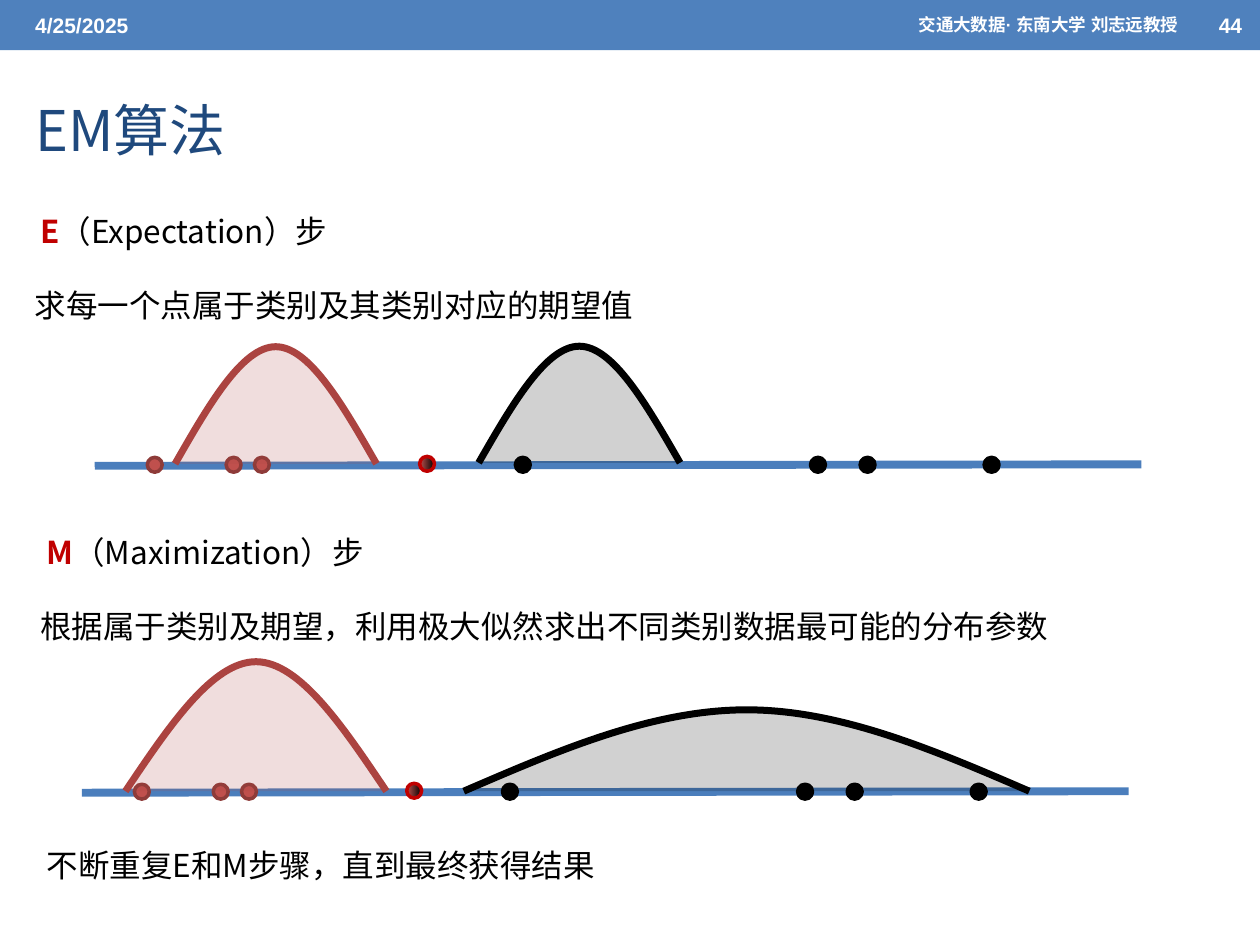
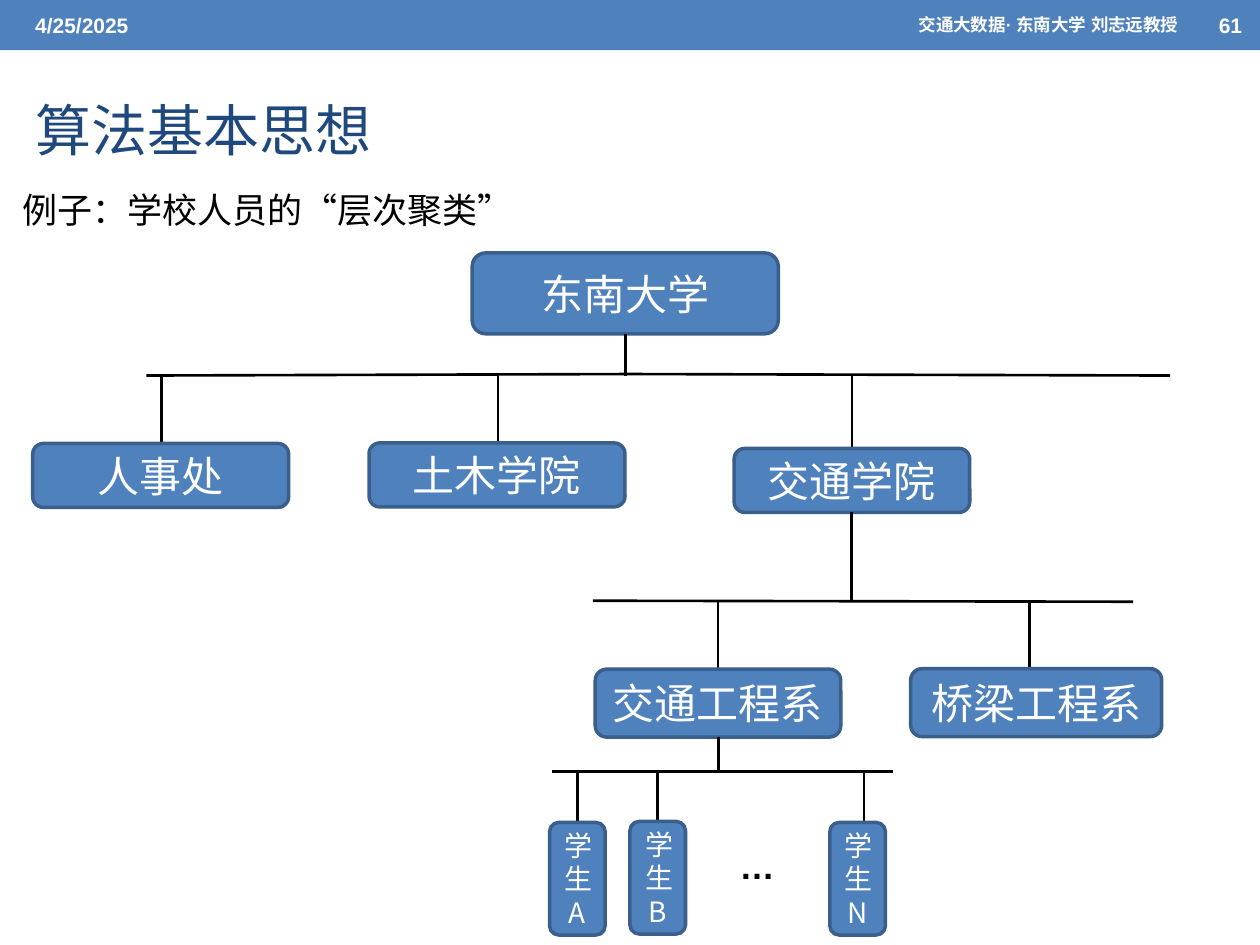
from dataclasses import dataclass
from itertools import pairwise

from lxml.etree import SubElement
from pptx import Presentation
from pptx.dml.color import RGBColor as Rgb
from pptx.enum.shapes import MSO_CONNECTOR as Link, MSO_SHAPE as Kind
from pptx.enum.text import MSO_ANCHOR as Anchor, PP_ALIGN as Align
from pptx.oxml.ns import qn
from pptx.util import Cm, Pt


@dataclass(frozen=True)
class Theme:
    cjk: str = "Noto Sans CJK SC"
    latin: str = "Arial"
    blue: str = "4F81BD"
    edge: str = "3A5F8C"
    axis: str = "4B7EBC"
    navy: str = "1F497D"
    red: str = "C00000"
    brick: str = "C0504D"
    rust: str = "8E3B39"
    curve: str = "AB4340"
    blush: str = "AC4744"
    black: str = "000000"
    white: str = "FFFFFF"
    title: int = 32
    node: int = 24
    lead: int = 20
    body: int = 18
    leaf: int = 16
    date: int = 12
    credit: int = 10


T = Theme()


def rgb(code):
    return Rgb.from_string(code)


def write(frame, text, size=T.body, font=T.cjk, color=T.black, bold=False,
          align=Align.LEFT, anchor=Anchor.TOP, space=None, wrap=True):
    """Fill a frame; text is a string or a list of (string, color, bold) runs."""
    frame.word_wrap = wrap
    frame.vertical_anchor = anchor
    para = frame.paragraphs[0]
    para.alignment = align
    if space:
        para.line_spacing = space
    runs = [(text, color, bold)] if isinstance(text, str) else text
    for words, tint, heavy in runs:
        run = para.add_run()
        run.text = words
        run.font.size = Pt(size)
        run.font.name = font
        run.font.bold = heavy
        run.font.color.rgb = rgb(tint)
        SubElement(run.font._element, qn("a:ea"), typeface=font)


def label(slide, box, text, **style):
    frame = slide.shapes.add_textbox(*map(Cm, box)).text_frame
    write(frame, text, **style)


def paint(shape, fill, line=None, width=2):
    shape.shadow.inherit = False
    shape.fill.solid()
    shape.fill.fore_color.rgb = rgb(fill)
    if line:
        shape.line.color.rgb = rgb(line)
        shape.line.width = Pt(width)
    else:
        shape.line.fill.background()


def rule(slide, x1, y1, x2, y2, color=T.black, width=1.5):
    line = slide.shapes.add_connector(Link.STRAIGHT, *map(Cm, (x1, y1, x2, y2)))
    line.line.color.rgb = rgb(color)
    line.line.width = Pt(width)
    SubElement(line._element.spPr, qn("a:effectLst"))


def page(deck, title, number):
    """Add a slide with the header band and its title."""
    slide = deck.slides.add_slide(deck.slide_layouts[6])
    band = slide.shapes.add_shape(Kind.RECTANGLE, 0, 0, deck.slide_width, Cm(1.01))
    paint(band, T.blue)
    head = dict(font=T.latin, color=T.white, bold=True, anchor=Anchor.MIDDLE)
    label(slide, (0.46, 0.05, 8.05, 0.91), "4/25/2025", size=T.date, **head)
    label(slide, (24.32, 0.05, 1.07, 0.91), str(number), size=T.date, **head)
    label(slide, (10.59, 0.05, 13.41, 0.91), "交通大数据· 东南大学 刘志远教授",
          size=T.credit, align=Align.RIGHT, **head)
    label(slide, (0.46, 1.24, 22.86, 2.74), title, size=T.title,
          color=T.navy, anchor=Anchor.MIDDLE)
    return slide


def dot(slide, x, y, fill, line):
    shape = slide.shapes.add_shape(Kind.OVAL, *map(Cm, (x, y, 0.3, 0.3)))
    paint(shape, fill, line)
    return shape


def blend(shape):
    """Fade a dot from red on the left to black on the right."""
    shape.rotation = 270
    shape.fill.gradient()
    shape.fill.gradient_angle = 270
    for stop, color in zip(shape.fill.gradient_stops, (T.brick, T.black)):
        stop.color.rgb = rgb(color)


def bend(shape):
    """Turn every three straight segments of an outline into one cubic curve."""
    path = next(shape._element.iter(qn("a:path")))
    lines = path.findall(qn("a:lnTo"))
    for i in range(0, len(lines), 3):
        cubic = SubElement(path, qn("a:cubicBezTo"))
        for line in lines[i:i + 3]:
            cubic.append(line[0])
            path.remove(line)


def bell(slide, x, base, width, height, fill, line):
    """Draw an open hump as two mirrored curves."""
    rises = (0, 0.5, 1, 1, 1, 0.5, 0)
    points = [(Cm(x + width * i / 6), Cm(base - height * rise))
              for i, rise in enumerate(rises)]
    outline = slide.shapes.build_freeform(*points[0])
    outline.add_line_segments(points[1:], close=False)
    shape = outline.convert_to_shape()
    bend(shape)
    paint(shape, fill, line, 4)
    tint = shape._element.spPr.find(qn("a:solidFill"))[0]
    SubElement(tint, qn("a:alpha"), val="18000")


def sample(slide, x, y):
    """Draw the data axis with its points, starting at x, y."""
    rule(slide, x, y, x + 21.1, y - 0.03, T.axis, 4.5)
    top = y - 0.17
    for step in (1.06, 3.22, 2.65):
        dot(slide, x + step, top, T.brick, T.rust)
    blend(dot(slide, x + 6.55, top - 0.02, T.brick, T.red))
    for step in (8.48, 14.43, 15.43, 17.93):
        dot(slide, x + step, top, T.black, T.black)


def node(slide, text, box, size=T.node):
    shape = slide.shapes.add_shape(Kind.ROUNDED_RECTANGLE, *map(Cm, box))
    paint(shape, T.blue, T.edge)
    write(shape.text_frame, text, size=size, color=T.white,
          align=Align.CENTER, anchor=Anchor.MIDDLE)


def level(slide, stem, rail, kids, size=T.node):
    """Hang nodes under a rail of points; stem is the parent's (x, bottom).

    Each kid is (text, box, shift of its drop line from the box centre).
    """
    y = rail[0][1]
    rule(slide, *stem, stem[0], y)
    for start, end in pairwise(rail):
        rule(slide, *start, *end)
    for text, box, shift in kids:
        x, top, width, _ = box
        mid = x + width / 2 + shift
        rule(slide, mid, top, mid, y)
        node(slide, text, box, size)


def em_page(deck):
    slide = page(deck, "EM算法", 44)
    style = dict(align=Align.JUSTIFY, space=1.5)
    lines = (
        (0.56, 3.76, 21.62, [("E", T.red, True), ("（Expectation）步", T.black, False)]),
        (0.45, 5.27, 24.1, "求每一个点属于类别及其类别对应的期望值"),
        (0.69, 10.23, 21.62, [("M", T.red, True), ("（Maximization）步", T.black, False)]),
        (0.56, 11.73, 24.1, "根据属于类别及期望，利用极大似然求出不同类别数据最可能的分布参数"),
        (0.69, 16.55, 21.62, "不断重复E和M步骤，直到最终获得结果"),
    )
    for x, y, width, text in lines:
        label(slide, (x, y, width, 1.27), text, **style)
    sample(slide, 1.91, 9.39)
    sample(slide, 1.65, 15.98)
    bell(slide, 3.53, 9.35, 4.06, 2.36, T.blush, T.curve)
    bell(slide, 9.65, 9.33, 4.06, 2.35, T.black, T.black)
    bell(slide, 2.53, 15.95, 5.26, 2.61, T.blush, T.curve)
    bell(slide, 9.35, 15.95, 11.4, 1.64, T.black, T.black)


def tree_page(deck):
    slide = page(deck, "算法基本思想", 61)
    label(slide, (0.2, 3.68, 10.5, 1.12), "例子：学校人员的“层次聚类”",
          size=T.lead, wrap=False)
    node(slide, "东南大学", (9.52, 5.1, 6.17, 1.63))
    level(slide, (12.61, 6.73), ((2.95, 7.57), (12.7, 7.54), (23.59, 7.57)), (
        ("人事处", (0.66, 8.94, 5.16, 1.29), 0.02),
        ("土木学院", (7.44, 8.93, 5.16, 1.29), 0.02),
        ("交通学院", (14.8, 9.04, 4.75, 1.29), 0),
    ))
    level(slide, (17.17, 10.33), ((11.95, 12.11), (22.84, 12.13)), (
        ("交通工程系", (12, 13.49, 4.95, 1.37), 0),
        ("桥梁工程系", (18.36, 13.48, 5.06, 1.37), -0.14),
    ))
    level(slide, (14.48, 14.86), ((11.13, 15.55), (18, 15.55)), (
        ("学生A", (11.08, 16.58, 1.12, 2.27), 0),
        ("学生B", (12.7, 16.56, 1.12, 2.27), 0),
        ("学生N", (16.73, 16.58, 1.12, 2.27), 0.13),
    ), T.leaf)
    label(slide, (14.66, 16.89, 1.22, 1.12), "…", size=T.lead,
          font=T.latin, bold=True, wrap=False)


def main():
    deck = Presentation()
    deck.slide_width, deck.slide_height = Cm(25.4), Cm(19.05)
    em_page(deck)
    tree_page(deck)
    deck.save("out.pptx")


if __name__ == "__main__":
    main()
